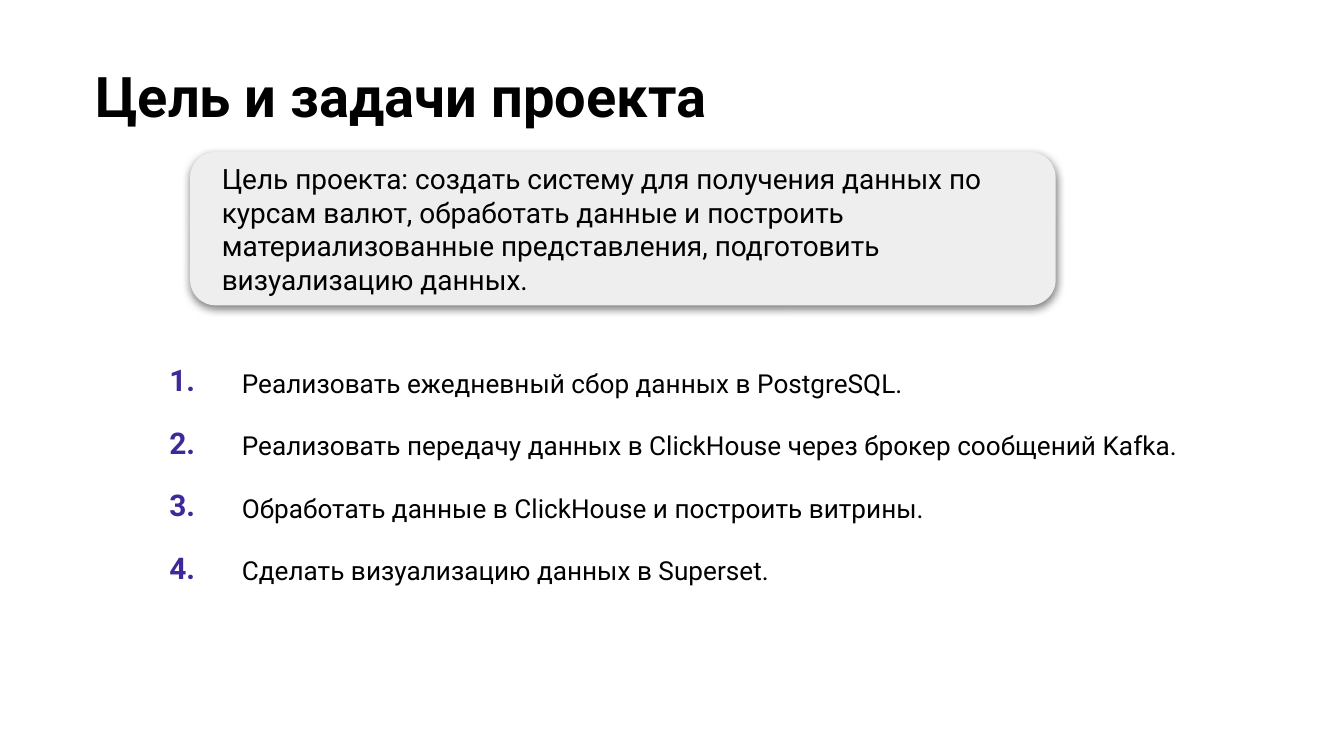
from dataclasses import dataclass

from lxml import etree
from pptx import Presentation
from pptx import util as u
from pptx.dml.color import RGBColor
from pptx.enum import shapes, text
from pptx.oxml.ns import qn

SLIDE_W = u.Inches(10)
SLIDE_H = SLIDE_W * 9 // 16
FONT = "Roboto"
BLACK = RGBColor(0x00, 0x00, 0x00)
VIOLET = RGBColor(0x3F, 0x29, 0x9A)
PALE_GREY = RGBColor(0xEE, 0xEE, 0xEE)

HEADING = "Цель и задачи проекта"
GOAL = (
    "Цель проекта: создать систему для получения данных по курсам валют, "
    "обработать данные и построить материализованные представления, "
    "подготовить визуализацию данных."
)
TASKS = [
    "Реализовать ежедневный сбор данных в PostgreSQL.",
    "Реализовать передачу данных в ClickHouse через брокер сообщений Kafka.",
    "Обработать данные в ClickHouse и построить витрины.",
    "Сделать визуализацию данных в Superset.",
]


@dataclass(frozen=True)
class Area:
    """A rectangle in percent of the slide's width and height."""

    left: float
    top: float
    width: float
    height: float

    def lengths(self) -> tuple[int, int, int, int]:
        return (
            int(SLIDE_W * self.left / 100),
            int(SLIDE_H * self.top / 100),
            int(SLIDE_W * self.width / 100),
            int(SLIDE_H * self.height / 100),
        )


@dataclass(frozen=True)
class Style:
    size: int
    color: RGBColor = BLACK
    bold: bool = False
    line_spacing: float = 1.0


TITLE_AREA = Area(6.1, 6.4, 93.2, 25.4)
GOAL_AREA = Area(14.15, 20.1, 64.4, 20.3)
TASKS_AREA = Area(10.4, 46.4, 79.2, 33.2)
NUMBER_COLUMN_PERCENT = 5.4
ROW_PERCENT = 7.5

TITLE_STYLE = Style(30, bold=True)
GOAL_STYLE = Style(15)
NUMBER_STYLE = Style(16, VIOLET, bold=True)
TASK_STYLE = Style(14, line_spacing=1.15)


def write(frame, words: str, style: Style) -> None:
    frame.text = words
    frame.word_wrap = True
    paragraph = frame.paragraphs[0]
    paragraph.alignment = text.PP_ALIGN.LEFT
    paragraph.line_spacing = style.line_spacing
    font = paragraph.runs[0].font
    font.name, font.size, font.bold = FONT, u.Pt(style.size), style.bold
    font.color.rgb = style.color


def set_margins(holder, left: float, right: float) -> None:
    holder.margin_left, holder.margin_right = u.Inches(left), u.Inches(right)
    holder.margin_top = holder.margin_bottom = u.Inches(0.1)


def add_soft_shadow(shape) -> None:
    shape.shadow.inherit = False
    effects = shape._element.spPr.find(qn("a:effectLst"))
    shadow = etree.SubElement(
        effects, qn("a:outerShdw"), blurRad=str(u.Pt(4.5)), dist=str(u.Pt(1.5)),
        dir=str(90 * 60000), algn="bl", rotWithShape="0",
    )
    color = etree.SubElement(shadow, qn("a:srgbClr"), val=str(BLACK))
    etree.SubElement(color, qn("a:alpha"), val="50000")


def place_title(slide) -> None:
    title = slide.shapes.title
    title.left, title.top, title.width, title.height = TITLE_AREA.lengths()
    frame = title.text_frame
    frame.auto_size = text.MSO_AUTO_SIZE.NONE
    frame.vertical_anchor = text.MSO_ANCHOR.TOP
    set_margins(frame, 0.1, 0.1)
    write(frame, HEADING, TITLE_STYLE)


def add_tasks(slide) -> None:
    left, top, width, height = TASKS_AREA.lengths()
    holder = slide.shapes.add_table(len(TASKS), 2, left, top, width, height)
    tasks = holder.table
    tasks.first_row = tasks.horz_banding = False
    tasks.columns[0].width = int(SLIDE_W * NUMBER_COLUMN_PERCENT / 100)
    tasks.columns[1].width = width - tasks.columns[0].width
    for row, task in enumerate(TASKS):
        tasks.rows[row].height = int(SLIDE_H * ROW_PERCENT / 100)
        entries = ((f"{row + 1}.", NUMBER_STYLE), (task, TASK_STYLE))
        for column, (words, style) in enumerate(entries):
            cell = tasks.cell(row, column)
            cell.fill.background()
            set_margins(cell, 0.22, 0.1)
            write(cell.text_frame, words, style)
    holder.height = height


def add_goal(slide) -> None:
    goal = slide.shapes.add_shape(
        shapes.MSO_SHAPE.ROUNDED_RECTANGLE, *GOAL_AREA.lengths()
    )
    goal.fill.solid()
    goal.fill.fore_color.rgb = PALE_GREY
    goal.line.fill.background()
    add_soft_shadow(goal)
    goal.text_frame.vertical_anchor = text.MSO_ANCHOR.MIDDLE
    set_margins(goal.text_frame, 0.18, 0.18)
    write(goal.text_frame, GOAL, GOAL_STYLE)


def main() -> None:
    deck = Presentation()
    deck.slide_width, deck.slide_height = SLIDE_W, SLIDE_H
    slide = deck.slides.add_slide(deck.slide_layouts.get_by_name("Title Only"))
    place_title(slide)
    add_tasks(slide)
    add_goal(slide)
    deck.save("out.pptx")


if __name__ == "__main__":
    main()
